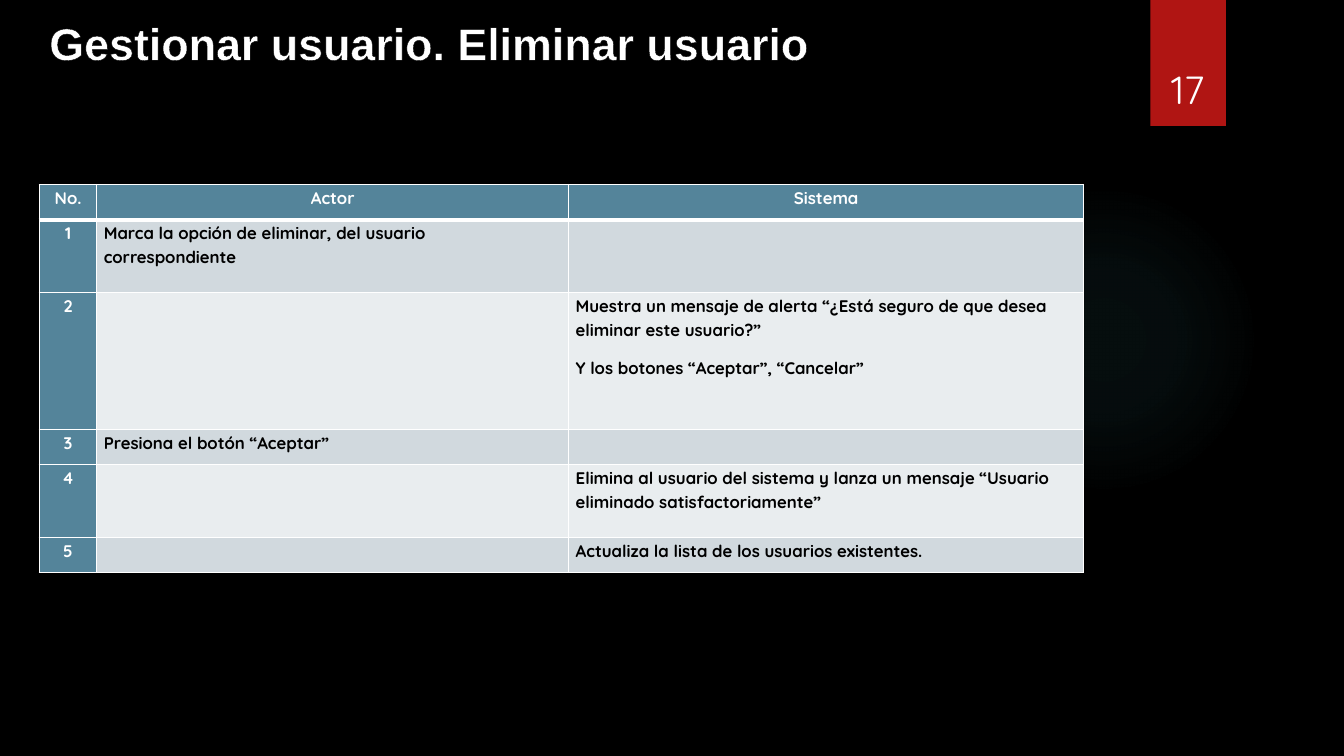
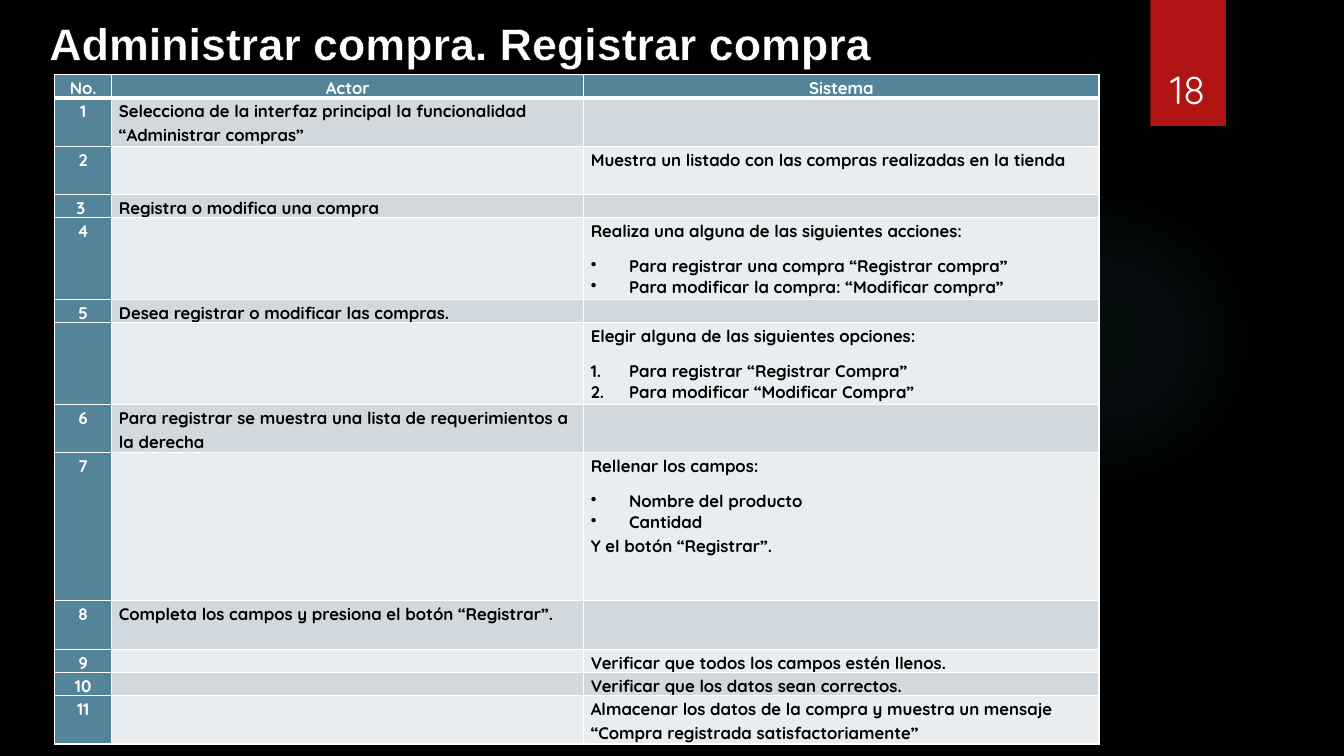
from lxml import etree
from pptx import Presentation
from pptx.dml.color import RGBColor
from pptx.enum.shapes import MSO_SHAPE
from pptx.enum.text import MSO_ANCHOR, MSO_AUTO_SIZE, PP_ALIGN
from pptx.oxml import parse_xml
from pptx.oxml.ns import nsdecls, qn
from pptx.util import Inches, Pt

RECTANGLE, OVAL = MSO_SHAPE.RECTANGLE, MSO_SHAPE.OVAL
LEFT, CENTER = PP_ALIGN.LEFT, PP_ALIGN.CENTER
MIDDLE, BOTTOM = MSO_ANCHOR.MIDDLE, MSO_ANCHOR.BOTTOM
GROW = MSO_AUTO_SIZE.SHAPE_TO_FIT_TEXT

COLORS = {
    "black": "000000", "white": "FFFFFF", "ribbon": "B01513", "glow": "50B9C1",
    "header": "54849A", "odd": "D1D9DE", "even": "E9EDEF",
}
TITLE_FONT, BODY_FONT = "Arial", "Quicksand"
GLOW_STOPS = [(0, 7), (36, 6), (69, 0)]  # position %, opacity %

HEADERS = ["No.", "Actor", "Sistema"]
COLUMNS = [0.57, 4.68, 5.11]
ACTOR, SYSTEM = 1, 2
LIST_INDENT = 0.38
LIST_MARKERS = {"bullet": '<a:buChar {} char="•"/>',
                "number": '<a:buAutoNum {} type="arabicPeriod"/>'}

# Each step: number, who acts, row height, paragraphs (a pair is a list item).
USE_CASES = [
    {"page": "17", "title": "Gestionar usuario. Eliminar usuario",
     "table_at": (0.39, 1.83), "header_height": 0.35,
     "steps": [
         ("1", ACTOR, 0.72, ["Marca la opción de eliminar, del usuario correspondiente"]),
         ("2", SYSTEM, 1.36, [
             "Muestra un mensaje de alerta “¿Está seguro de que desea eliminar este usuario?”",
             "Y los botones “Aceptar”, “Cancelar”"]),
         ("3", ACTOR, 0.35, ["Presiona el botón “Aceptar”"]),
         ("4", SYSTEM, 0.72, [
             "Elimina al usuario del sistema y lanza un mensaje “Usuario eliminado "
             "satisfactoriamente”"]),
         ("5", SYSTEM, 0.35, ["Actualiza la lista de los usuarios existentes."]),
     ]},
    {"page": "18", "title": "Administrar compra. Registrar compra",
     "table_at": (0.54, 0.74), "header_height": 0.23,
     "steps": [
         ("1", ACTOR, 0.48, [
             "Selecciona de la interfaz principal la funcionalidad “Administrar compras”"]),
         ("2", SYSTEM, 0.48, ["Muestra un listado con las compras realizadas en la tienda"]),
         ("3 ", ACTOR, 0.23, ["Registra o modifica una compra"]),
         ("4", SYSTEM, 0.81, [
             "Realiza una alguna de las siguientes acciones:",
             ("bullet", "Para registrar una compra “Registrar compra”"),
             ("bullet", "Para modificar la compra: “Modificar compra”")]),
         ("5", ACTOR, 0.23, ["Desea registrar o modificar las compras."]),
         ("", SYSTEM, 0.81, [
             "Elegir alguna de las siguientes opciones:",
             ("number", "Para registrar “Registrar Compra”"),
             ("number", "Para modificar “Modificar Compra”")]),
         ("6", ACTOR, 0.48, [
             "Para registrar se muestra una lista de requerimientos a la derecha"]),
         ("7", SYSTEM, 1.47, [
             "Rellenar los campos:",
             ("bullet", "Nombre del producto"),
             ("bullet", "Cantidad"),
             "Y el botón “Registrar”."]),
         ("8", ACTOR, 0.48, ["Completa los campos y presiona el botón “Registrar”."]),
         ("9", SYSTEM, 0.23, ["Verificar que todos los campos estén llenos."]),
         ("10", SYSTEM, 0.23, ["Verificar que los datos sean correctos."]),
         ("11", SYSTEM, 0.48, [
             "Almacenar los datos de la compra y muestra un mensaje “Compra registrada "
             "satisfactoriamente”"]),
     ]},
]


def rgb(name):
    return RGBColor.from_string(COLORS[name])


def style(paragraph, font, size, color, bold=False):
    for run in paragraph.runs:
        run.font.name, run.font.size, run.font.bold = font, Pt(size), bold
        run.font.color.rgb = rgb(color)


def add_plain_shape(slide, preset, *box):
    shape = slide.shapes.add_shape(preset, *map(Inches, box))
    shape.shadow.inherit = False
    shape.line.fill.background()
    return shape


def add_label(slide, text, box, anchor):
    label = slide.shapes.add_textbox(*map(Inches, box))
    frame = label.text_frame
    frame.word_wrap, frame.vertical_anchor = True, anchor
    frame.text = text
    return frame


def add_backdrop(slide):
    """Faint round glow behind the table and the red page ribbon."""
    glow = add_plain_shape(slide, OVAL, 9.41, 1.83, 3.08, 3.08)
    stops = "".join(
        f'<a:gs pos="{position * 1000}"><a:srgbClr val="{COLORS["glow"]}">'
        f'<a:alpha val="{opacity * 1000}"/></a:srgbClr></a:gs>'
        for position, opacity in GLOW_STOPS)
    gradient = parse_xml(
        f'<a:gradFill {nsdecls("a")}><a:gsLst>{stops}</a:gsLst><a:path path="circle">'
        '<a:fillToRect l="50000" t="50000" r="50000" b="50000"/></a:path></a:gradFill>')
    glow._element.spPr.find(qn("a:prstGeom")).addnext(gradient)

    ribbon = add_plain_shape(slide, RECTANGLE, 11.41, 0, 0.75, 1.25)
    ribbon.fill.solid()
    ribbon.fill.fore_color.rgb = rgb("ribbon")
    ribbon._element.spPr.find(qn("a:effectLst")).append(parse_xml(
        f'<a:outerShdw {nsdecls("a")} blurRad="{Pt(3)}" dist="{Pt(2)}" dir="5400000" '
        f'rotWithShape="0"><a:srgbClr val="{COLORS["black"]}"><a:alpha val="45000"/>'
        '</a:srgbClr></a:outerShdw>'))


def add_heading(slide, title, page):
    number = add_label(slide, page, (11.32, 0.32, 0.92, 0.84), BOTTOM).paragraphs[0]
    number.alignment = CENTER
    style(number, BODY_FONT, 28, "white")

    frame = add_label(slide, title, (0.39, 0.1, 8.68, 0.64), MIDDLE)
    frame.auto_size = GROW
    style(frame.paragraphs[0], TITLE_FONT, 32, "white", bold=True)
    run_properties = frame.paragraphs[0].runs[0]._r.get_or_add_rPr()
    run_properties.insert(0, parse_xml(
        f'<a:ln {nsdecls("a")} w="{Pt(1.06)}"><a:solidFill>'
        f'<a:srgbClr val="{COLORS["black"]}"/></a:solidFill></a:ln>'))


def set_borders(cell, bottom):
    properties = cell._tc.get_or_add_tcPr()
    for index, (side, width) in enumerate(zip("LRTB", (1, 1, 1, bottom))):
        properties.insert(index, parse_xml(
            f'<a:ln{side} {nsdecls("a")} w="{Pt(width)}"><a:solidFill>'
            f'<a:srgbClr val="{COLORS["white"]}"/></a:solidFill></a:ln{side}>'))


def fill_cell(cell, paragraphs, fill, color, alignment, bottom=1):
    cell.margin_left = cell.margin_right = Inches(0.07)
    cell.margin_top = cell.margin_bottom = 0
    cell.fill.solid()
    cell.fill.fore_color.rgb = rgb(fill)
    set_borders(cell, bottom)

    items = [p if isinstance(p, tuple) else (None, p) for p in paragraphs]
    frame = cell.text_frame
    frame.text = "\n".join(text for _, text in items)
    for paragraph, (marker, text) in zip(frame.paragraphs, items):
        style(paragraph, BODY_FONT, 12, color, bold=True)
        paragraph.alignment = alignment
        if marker:
            properties = paragraph._p.get_or_add_pPr()
            properties.set("marL", str(Inches(LIST_INDENT)))
            properties.set("indent", str(-Inches(LIST_INDENT)))
            properties.append(parse_xml(LIST_MARKERS[marker].format(nsdecls("a"))))
        else:
            paragraph.line_spacing, paragraph.space_after = 1.15, Pt(10)
        if not text:  # keeps an empty row from growing
            etree.SubElement(paragraph._p, qn("a:endParaRPr"), sz="1200")


def add_steps(slide, table_at, header_height, steps):
    heights = [header_height] + [height for _, _, height, _ in steps]
    box = (*table_at, sum(COLUMNS), sum(heights))
    table = slide.shapes.add_table(
        len(heights), len(COLUMNS), *map(Inches, box)).table
    for column, width in zip(table.columns, COLUMNS):
        column.width = Inches(width)
    for row, height in zip(table.rows, heights):
        row.height = Inches(height)

    for column, header in enumerate(HEADERS):
        fill_cell(table.cell(0, column), [header], "header", "white", CENTER, bottom=3)
    for row, (number, who, _, paragraphs) in enumerate(steps, 1):
        fill_cell(table.cell(row, 0), [number], "header", "white", CENTER,)
        for column in (ACTOR, SYSTEM):
            fill_cell(table.cell(row, column), paragraphs if column == who else [""],
                      "odd" if row % 2 else "even", "black", LEFT)


def main():
    prs = Presentation()
    prs.slide_width, prs.slide_height = Inches(13.33), Inches(7.5)
    background = prs.slide_master.background.fill
    background.solid()
    background.fore_color.rgb = rgb("black")
    for case in USE_CASES:
        slide = prs.slides.add_slide(prs.slide_layouts[6])
        add_backdrop(slide)
        add_heading(slide, case["title"], case["page"])
        add_steps(slide, case["table_at"], case["header_height"], case["steps"])
    prs.save("out.pptx")


if __name__ == "__main__":
    main()
